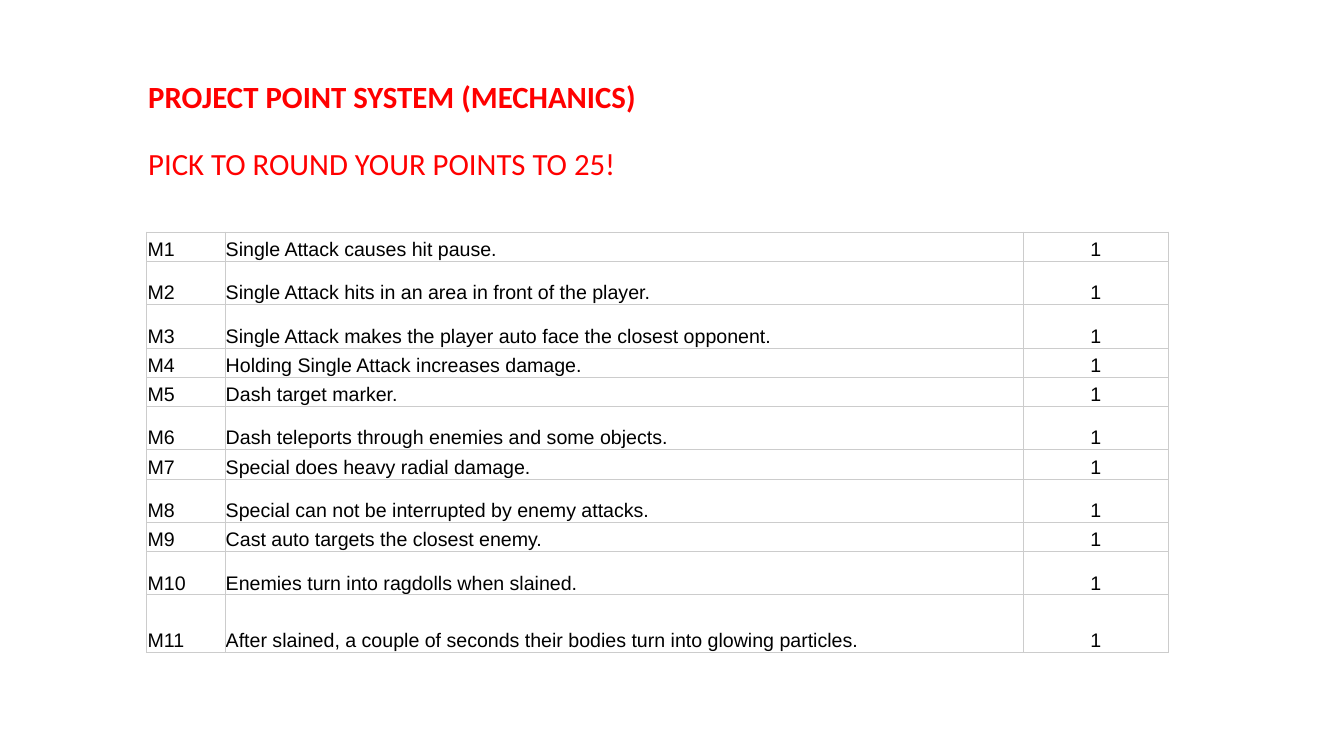
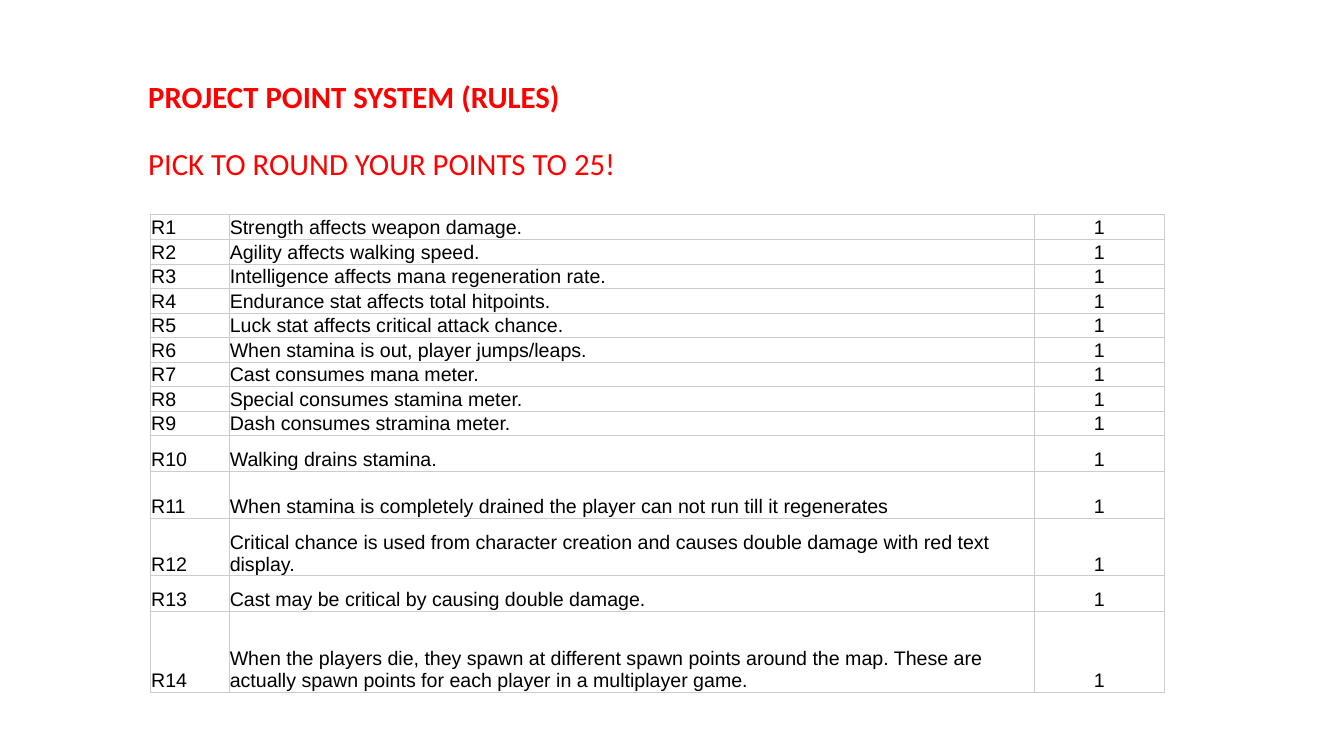
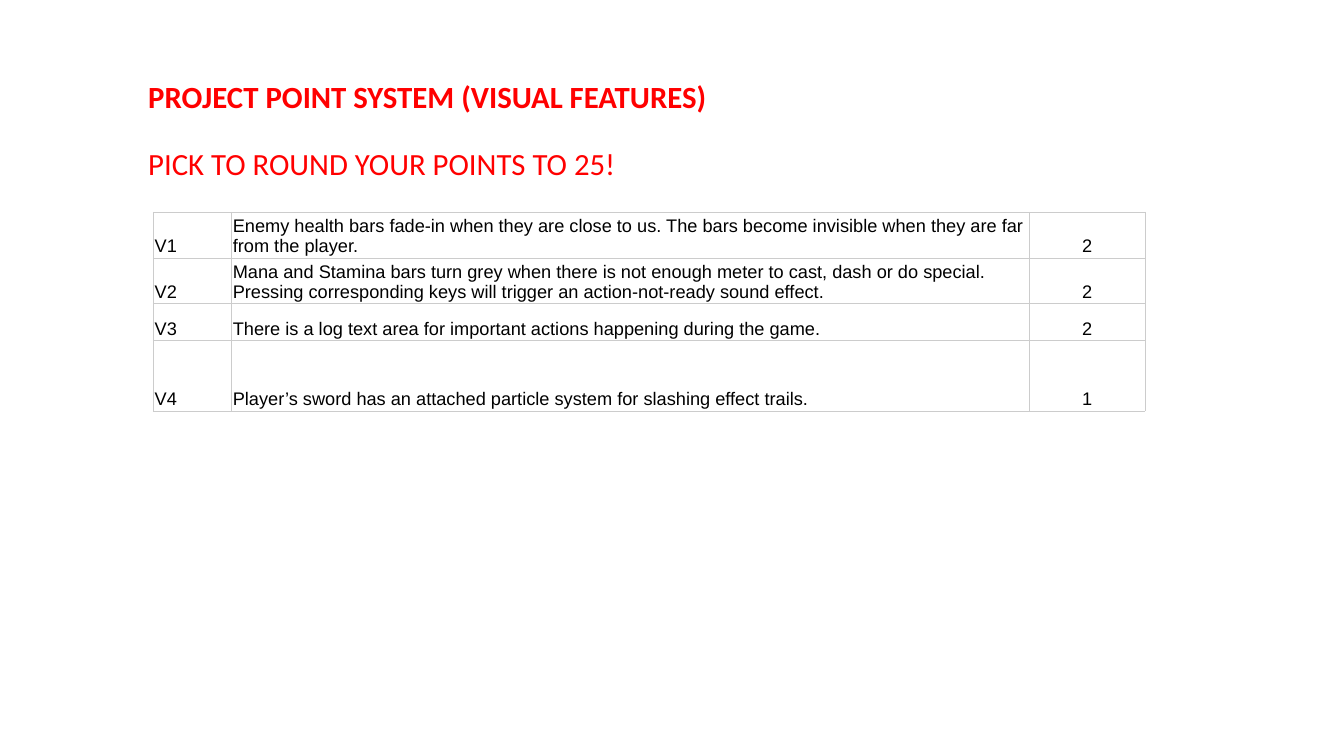
from dataclasses import dataclass

import lxml.etree
import pptx
import pptx.dml.color
import pptx.enum.text
import pptx.oxml.ns
import pptx.util
from pptx.util import Inches

RED = "FF0000"
BLACK = "000000"
GRID_GREY = "CCCCCC"
GRID_WIDTH = pptx.util.Pt(0.75)
SUBTITLE = "PICK TO ROUND YOUR POINTS TO 25!"
LEFT = pptx.enum.text.PP_ALIGN.LEFT
CENTER = pptx.enum.text.PP_ALIGN.CENTER


@dataclass(frozen=True)
class Feature:
    text: str
    height: float
    points: int = 1


@dataclass(frozen=True)
class PointTable:
    category: str
    prefix: str
    left: float
    top: float
    columns: tuple[float, float, float]
    size: int
    margin_x: float
    margin_y: float
    features: tuple[Feature, ...]


MECHANICS = PointTable(
    "MECHANICS", "M", 2.91, 4.6, (1.55, 15.84, 2.89), 28, 0.02, 0.01,
    (
        Feature("Single Attack causes hit pause.", 0.58),
        Feature("Single Attack hits in an area in front of the player.", 0.86),
        Feature("Single Attack makes the player auto face the closest opponent.", 0.86),
        Feature("Holding Single Attack increases damage.", 0.58),
        Feature("Dash target marker.", 0.58),
        Feature("Dash teleports through enemies and some objects.", 0.86),
        Feature("Special does heavy radial damage.", 0.58),
        Feature("Special can not be interrupted by enemy attacks.", 0.86),
        Feature("Cast auto targets the closest enemy.", 0.58),
        Feature("Enemies turn into ragdolls when slained.", 0.86),
        Feature("After slained, a couple of seconds their bodies turn into glowing particles.", 1.14),
    ),
)

RULES = PointTable(
    "RULES", "R", 2.98, 4.26, (1.56, 15.98, 2.59), 28, 0.02, 0.01,
    (
        Feature("Strength affects weapon damage.", 0.47),
        Feature("Agility affects walking speed.", 0.47),
        Feature("Intelligence affects mana regeneration rate.", 0.47),
        Feature("Endurance stat affects total hitpoints.", 0.47),
        Feature("Luck stat affects critical attack chance.", 0.47),
        Feature("When stamina is out, player jumps/leaps.", 0.47),
        Feature("Cast consumes mana meter.", 0.47),
        Feature("Special consumes stamina meter.", 0.47),
        Feature("Dash consumes stramina meter.", 0.47),
        Feature("Walking drains stamina.", 0.7),
        Feature("When stamina is completely drained the player can not run till it regenerates", 0.93),
        Feature(
            "Critical chance is used from character creation and causes double damage "
            "with red text display.", 1.15),
        Feature("Cast may be critical by causing double damage.", 0.7),
        Feature(
            "When the players die, they spawn at different spawn points around the map. "
            "These are actually spawn points for each player in a multiplayer game.", 1.61),
    ),
)

VISUALS = PointTable(
    "VISUAL FEATURES", "V", 3.04, 4.21, (1.55, 15.84, 2.29), 26, 0.03, 0.02,
    (
        Feature(
            "Enemy health bars fade-in when they are close to us. The bars become "
            "invisible when they are far from the player.", 0.77, 2),
        Feature(
            "Mana and Stamina bars turn grey when there is not enough meter to cast, "
            "dash or do special. Pressing corresponding keys will trigger an "
            "action-not-ready sound effect.", 0.89, 2),
        Feature("There is a log text area for important actions happening during the game.", 0.73, 2),
        Feature("Player’s sword has an attached particle system for slashing effect trails.", 1.4),
    ),
)


def color(value: str) -> pptx.dml.color.RGBColor:
    return pptx.dml.color.RGBColor.from_string(value)


def write(para, text: str, *, font: str, size: float, fill: str, bold: bool = False,
          align=LEFT, line_spacing: float = 1.0, space_before: float = 0) -> None:
    para.alignment = align
    para.line_spacing = line_spacing
    para.space_before = pptx.util.Pt(space_before)
    span = para.add_run()
    span.text = text
    span.font.name = font
    span.font.size = pptx.util.Pt(size)
    span.font.bold = bold
    span.font.color.rgb = color(fill)


def add_title(page, category: str) -> None:
    box = page.shapes.add_textbox(Inches(2.74), Inches(1.52), Inches(22.26), Inches(3.26))
    frame = box.text_frame
    frame.word_wrap = True
    frame.margin_left = frame.margin_right = Inches(0.2)
    frame.margin_top = frame.margin_bottom = Inches(0.1)
    style = dict(font="Calibri", size=44, fill=RED, line_spacing=0.9)
    write(frame.paragraphs[0], f"PROJECT POINT SYSTEM ({category})", bold=True, **style)
    write(frame.add_paragraph(), SUBTITLE, space_before=48, **style)


def add_borders(cell) -> None:
    properties = cell._tc.get_or_add_tcPr()
    for side in ("a:lnL", "a:lnR", "a:lnT", "a:lnB"):
        line = lxml.etree.SubElement(properties, pptx.oxml.ns.qn(side), w=str(int(GRID_WIDTH)))
        solid = lxml.etree.SubElement(line, pptx.oxml.ns.qn("a:solidFill"))
        lxml.etree.SubElement(solid, pptx.oxml.ns.qn("a:srgbClr"), val=GRID_GREY)


def add_points(page, spec: PointTable) -> None:
    height = sum(feature.height for feature in spec.features)
    table = page.shapes.add_table(
        len(spec.features), len(spec.columns), Inches(spec.left), Inches(spec.top),
        Inches(sum(spec.columns)), Inches(height)).table
    table.first_row = table.horz_banding = False
    for column, width in zip(table.columns, spec.columns):
        column.width = Inches(width)
    for number, (row, feature) in enumerate(zip(table.rows, spec.features), start=1):
        row.height = Inches(feature.height)
        values = (f"{spec.prefix}{number}", feature.text, str(feature.points))
        for cell, value, align in zip(row.cells, values, (LEFT, LEFT, CENTER)):
            add_borders(cell)
            cell.fill.background()
            cell.vertical_anchor = pptx.enum.text.MSO_ANCHOR.BOTTOM
            cell.margin_left = cell.margin_right = Inches(spec.margin_x)
            cell.margin_top = cell.margin_bottom = Inches(spec.margin_y)
            write(cell.text_frame.paragraphs[0], value, font="Arial", size=spec.size,
                  fill=BLACK, align=align)


def main() -> None:
    deck = pptx.Presentation()
    deck.slide_width = Inches(26.67)
    deck.slide_height = Inches(15)
    for points in (MECHANICS, RULES, VISUALS):
        page = deck.slides.add_slide(deck.slide_layouts[6])
        add_title(page, points.category)
        add_points(page, points)
    deck.save("out.pptx")


if __name__ == "__main__":
    main()
